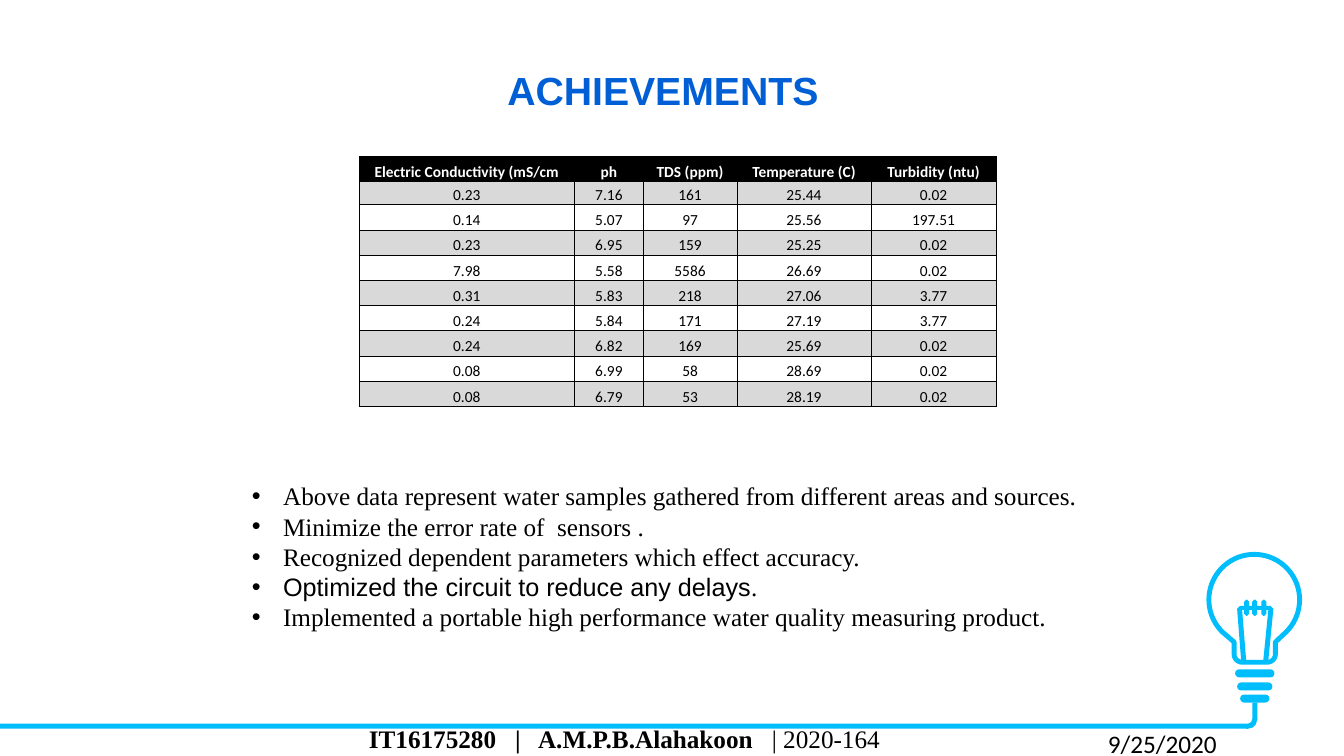
import math

from lxml import etree
from pptx import Presentation
from pptx import util as u
from pptx.dml.color import RGBColor
from pptx.enum import shapes, text
from pptx.oxml import ns

PX = 9144  # EMU in one px, 100 px to the inch
BLACK = RGBColor(0x00, 0x00, 0x00)
WHITE = RGBColor(0xFF, 0xFF, 0xFF)
GREY = RGBColor(0xD9, 0xD9, 0xD9)
BLUE = RGBColor(0x00, 0x5F, 0xD4)
SKY = RGBColor(0x00, 0xBD, 0xFB)
SERIF = "Times New Roman"

HEADS = ["Electric Conductivity (mS/cm", "ph", "TDS (ppm)",
         "Temperature (C)", "Turbidity (ntu)"]
ROWS = [
    ["0.23", "7.16", "161", "25.44", "0.02"],
    ["0.14", "5.07", "97", "25.56", "197.51"],
    ["0.23", "6.95", "159", "25.25", "0.02"],
    ["7.98", "5.58", "5586", "26.69", "0.02"],
    ["0.31", "5.83", "218", "27.06", "3.77"],
    ["0.24", "5.84", "171", "27.19", "3.77"],
    ["0.24", "6.82", "169", "25.69", "0.02"],
    ["0.08", "6.99", "58", "28.69", "0.02"],
    ["0.08", "6.79", "53", "28.19", "0.02"],
]
WIDTHS = [214, 68, 93, 133, 124]
# Each point is a list of (words, font) runs.
POINTS = [
    [("Above data represent water samples gathered from different areas "
      "and sources.", SERIF)],
    [("Minimize the error rate of  sensors .", SERIF)],
    [("Recognized dependent parameters which effect accuracy.", SERIF)],
    [("Optimized the circuit to reduce any delays", "Arial"), (".", SERIF)],
    [("Implemented a portable high performance water quality measuring "
      "product.", SERIF)],
]


def scale(*sizes):
    return [round(size * PX) for size in sizes]


def style(run, font, size, color=BLACK, bold=False):
    run.font.name = font
    run.font.size = u.Pt(size)
    run.font.color.rgb = color
    run.font.bold = bold


def write(para, runs, size):
    """Fill a paragraph from (words, font, bold) runs; bold may be left out."""
    for words, font, *bold in runs:
        run = para.add_run()
        run.text = words
        style(run, font, size, bold=bool(bold))


def add_box(slide, *place):
    frame = slide.shapes.add_textbox(*scale(*place)).text_frame
    frame.word_wrap = True
    return frame


def paint(shape, fill, line=None):
    shape.shadow.inherit = False
    shape.fill.solid()
    shape.fill.fore_color.rgb = fill
    if line is None:
        shape.line.fill.background()
    else:
        shape.line.color.rgb = line
        shape.line.width = u.Pt(3.5)


def add_block(slide, kind, *place):
    block = slide.shapes.add_shape(kind, *scale(*place))
    paint(block, SKY)
    return block


def add_form(slide, points, fill, line=None):
    first, *rest = [scale(*point) for point in points]
    form = slide.shapes.build_freeform(*first)
    form.add_line_segments(rest, close=True)
    paint(form.convert_to_shape(), fill, line)


def arc(x, y, size, start, end, step):
    """Points on a circle, with angles in degrees, clockwise from the right."""
    turns = [math.radians(turn) for turn in range(start, end + step, step)]
    return [(x + size * math.cos(turn), y + size * math.sin(turn))
            for turn in turns]


def add_bulb(slide):
    glass = (arc(1244, 595, 45, 135, 405, 5)
             + [(1265, 637)] + arc(1257, 649, 8, 0, 90, 15)
             + arc(1232, 649, 8, 90, 180, 15) + [(1224, 637)])
    add_form(slide, glass, WHITE, SKY)

    upper, lower = [], []
    for x in (1234, 1242, 1251):
        upper += [(x, 601), (x, 597), (x + 2, 595),
                  (x + 3, 595), (x + 5, 597), (x + 5, 601)]
        lower += [(x, 605), (x, 609), (x + 2, 611),
                  (x + 3, 611), (x + 5, 609), (x + 5, 605)]
    wire = ([(1227, 604), (1230, 601)] + upper
            + [(1260, 601), (1263, 604), (1258, 655), (1255, 657),
               (1253, 655), (1258, 605)] + lower[::-1]
            + [(1232, 605), (1236, 655), (1234, 658), (1231, 655)])
    add_form(slide, wire, SKY)

    kinds = shapes.MSO_SHAPE
    for x, y, width in ((1225, 664, 39), (1227, 677, 35), (1230, 689, 29)):
        ring = add_block(slide, kinds.ROUNDED_RECTANGLE, x, y, width, 8)
        ring.adjustments[0] = 0.5
    add_block(slide, kinds.RECTANGLE, 0, 718, 1237, 5)
    add_block(slide, kinds.RECTANGLE, 1242, 697, 5, 17)
    bend = add_block(slide, kinds.BLOCK_ARC, 1228, 704, 19, 19)
    for place, value in enumerate((213.39, 60.92, 0.27)):
        bend.adjustments[place] = value


def add_edges(cell):
    """Draw a thin black line on all four sides of a cell."""
    props = cell._tc.get_or_add_tcPr()
    for side in "LRTB":
        line = etree.SubElement(props, ns.qn(f"a:ln{side}"), w=str(u.Pt(0.5)))
        fill = etree.SubElement(line, ns.qn("a:solidFill"))
        etree.SubElement(fill, ns.qn("a:srgbClr"), val=str(BLACK))


def fill_cell(cell, words, head, shade):
    cell.margin_left = cell.margin_right = cell.margin_top = PX
    cell.margin_bottom = 0
    cell.vertical_anchor = text.MSO_ANCHOR.BOTTOM
    para = cell.text_frame.paragraphs[0]
    para.text = words
    para.alignment = text.PP_ALIGN.CENTER
    style(para.runs[0], "Calibri", 11, WHITE if head else BLACK, head)
    add_edges(cell)
    if shade is None:
        cell.fill.background()
    else:
        cell.fill.solid()
        cell.fill.fore_color.rgb = shade


def add_grid(slide):
    lines = [HEADS] + ROWS
    place = scale(356, 155, sum(WIDTHS), 248)
    grid = slide.shapes.add_table(len(lines), len(HEADS), *place).table
    grid.first_row = grid.horz_banding = False
    for column, width in zip(grid.columns, WIDTHS):
        column.width = width * PX
    for i, line in enumerate(lines):
        grid.rows[i].height = (23 if i == 1 else 25) * PX
        shade = BLACK if i == 0 else GREY if i % 2 else None
        for j, words in enumerate(line):
            fill_cell(grid.cell(i, j), words, i == 0, shade)


def add_title(slide):
    title = slide.shapes.title
    title.left, title.top, title.width, title.height = scale(91, 7, 1133, 164)
    frame = title.text_frame
    frame.text = "ACHIEVEMENTS"
    frame.vertical_anchor = text.MSO_ANCHOR.MIDDLE
    para = frame.paragraphs[0]
    para.alignment = text.PP_ALIGN.CENTER
    style(para.runs[0], "Arial", 28, BLUE, True)


def add_points(slide):
    frame = add_box(slide, 240, 472, 873, 192)
    for i, runs in enumerate(POINTS):
        para = frame.add_paragraph() if i else frame.paragraphs[0]
        props = para._p.get_or_add_pPr()
        props.set("marL", str(31 * PX))
        props.set("indent", str(-31 * PX))
        etree.SubElement(props, ns.qn("a:buFont"), typeface="Arial")
        etree.SubElement(props, ns.qn("a:buChar"), char="•")
        write(para, runs, 18)


def add_foot(slide):
    para = add_box(slide, 356, 730, 667, 25).paragraphs[0]
    para.alignment = text.PP_ALIGN.JUSTIFY
    para.line_spacing = u.Pt(9)
    para.space_after = u.Pt(2.5)
    write(para, [("IT16175280   |   A.M.P.B.Alahakoon   ", SERIF, True),
                 ("| 2020-164", SERIF)], 18)
    date = add_box(slide, 1089, 718, 136, 40).paragraphs[0]
    write(date, [("9/25/2020", "Calibri")], 18)


def main():
    deck = Presentation()
    deck.slide_width, deck.slide_height = scale(1333, 750)
    slide = deck.slides.add_slide(deck.slide_layouts[5])
    add_bulb(slide)
    add_foot(slide)
    add_title(slide)
    add_points(slide)
    add_grid(slide)
    deck.save("out.pptx")


if __name__ == "__main__":
    main()
